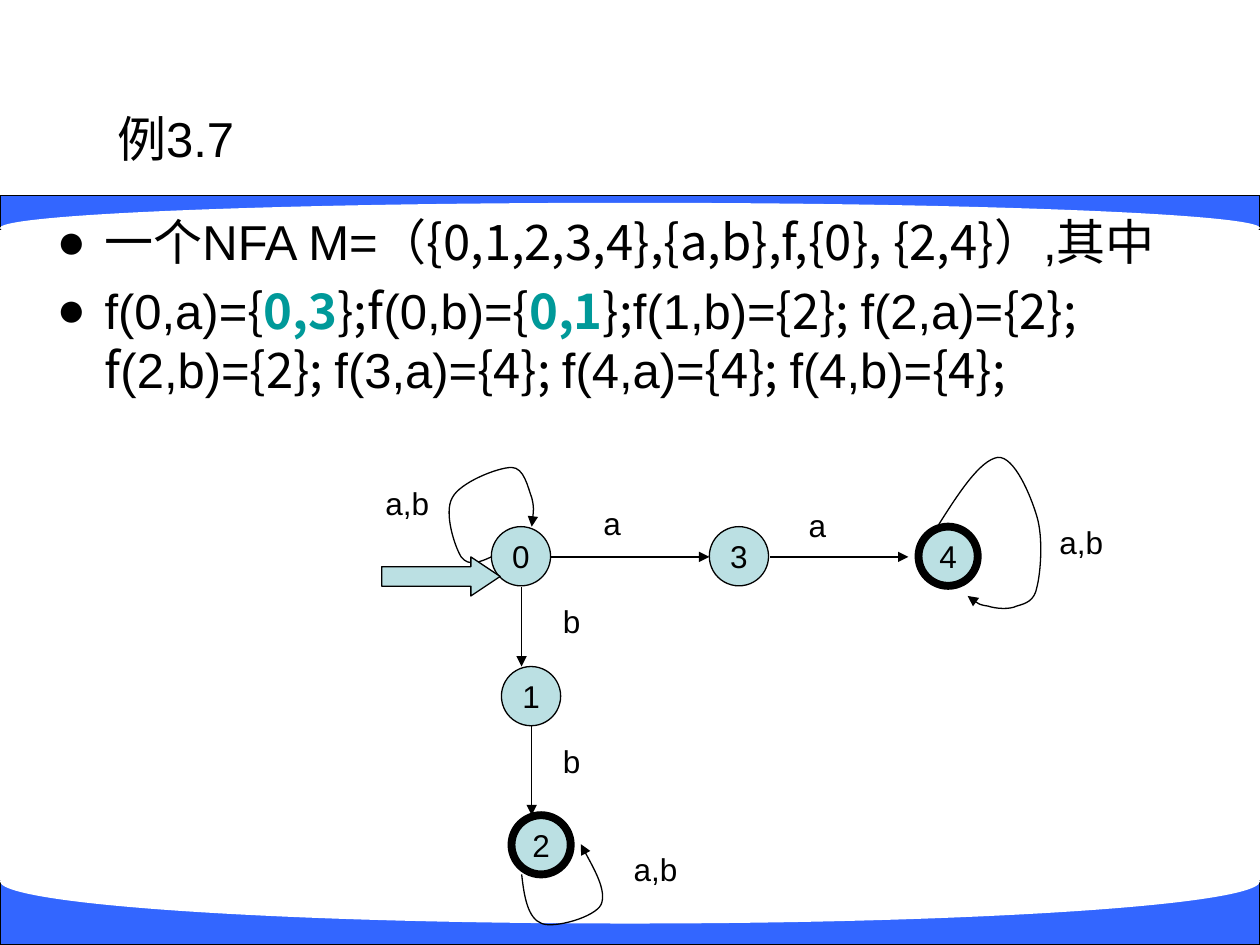
from lxml.etree import SubElement
from pptx import Presentation
from pptx.dml.color import RGBColor
from pptx.enum.shapes import MSO_CONNECTOR as Link, MSO_SHAPE as Kind
from pptx.enum.text import MSO_ANCHOR as Anchor, MSO_AUTO_SIZE as Fit, PP_ALIGN as Align
from pptx.oxml.ns import qn
from pptx.util import Inches, Pt

BLACK = RGBColor(0x00, 0x00, 0x00)
WHITE = RGBColor(0xFF, 0xFF, 0xFF)
BLUE = RGBColor(0x33, 0x66, 0xFF)
PALE = RGBColor(0xBB, 0xE0, 0xE3)
TEAL = RGBColor(0x00, 0x99, 0x99)
LATIN, HAN = "Arial", "Noto Sans CJK SC"

deck = Presentation()
deck.slide_width, deck.slide_height = Inches(10), Inches(7.5)
slide = deck.slides.add_slide(deck.slide_layouts[1])
shapes = slide.shapes


def style(para, size):
    font = para.font
    font.size, font.name, font.bold = Pt(size), LATIN, False
    font.color.rgb = BLACK
    SubElement(para._p.pPr.find(qn("a:defRPr")), qn("a:ea"), typeface=HAN)


def ink(item, width=0.75, arrow=False):
    """Give a shape or connector a black line, with an arrowhead if asked."""
    item.line.color.rgb = BLACK
    item.line.width = Pt(width)
    if arrow:
        SubElement(item.line._get_or_add_ln(), qn("a:tailEnd"), type="triangle")


# Blue bands with white curved edges, behind the text
bands = [
    (Kind.RECTANGLE, 1.55, 0.27, BLUE),
    (Kind.OVAL, 1.61, 0.4, WHITE),
    (Kind.RECTANGLE, 6.99, 0.51, BLUE),
    (Kind.OVAL, 6.66, 0.67, WHITE),
]
for spot, (kind, top, height, fill) in enumerate(bands, 2):
    band = shapes.add_shape(kind, 0, Inches(top), Inches(10), Inches(height))
    band.shadow.inherit = False
    band.fill.solid()
    band.fill.fore_color.rgb = fill
    if fill == BLUE:
        ink(band)
    else:
        band.line.fill.background()
    shapes._spTree.insert(spot, band._element)

# Title
title = shapes.title
title.left, title.top = Inches(0.83), Inches(0.78)
title.width, title.height = Inches(2.86), Inches(0.63)
title.text_frame.text = "例3.7"
title.text_frame.auto_size = Fit.NONE
title.text_frame.vertical_anchor = Anchor.MIDDLE
title.text_frame.paragraphs[0].alignment = Align.LEFT
style(title.text_frame.paragraphs[0], 28)

# Definition: "|" switches between the two fonts, "*" marks bold teal
items = [
    "一个NFA M=（|{0,1,2,3,4},{a,b},f,{0}, {2,4}|）,其中",
    "f(0,a)=|{*0,3*};f|(0,b)=|{*0,1*};|f(1,b)=|{2}; |f(2,a)=|{2}; f|(2,b)=|{2}; "
    "|f(3,a)=|{4}; |f(4,a)=|{4}; |f(4,b)=|{4};",
]
body = slide.placeholders[1]
body.left, body.top = Inches(0.35), Inches(1.63)
body.width, body.height = Inches(9.34), Inches(2.12)
frame = body.text_frame
frame.auto_size = Fit.NONE
for row, item in enumerate(items):
    para = frame.add_paragraph() if row else frame.paragraphs[0]
    para.space_before = Pt(5.6 * row)
    props = para._p.get_or_add_pPr()
    props.set("marL", str(Inches(0.38)))
    props.set("indent", str(-Inches(0.38)))
    SubElement(props, qn("a:buFont"), typeface=LATIN)
    SubElement(props, qn("a:buChar"), char="●")
    style(para, 28)
    for i, part in enumerate(item.split("|")):
        for j, bit in enumerate(part.split("*")):
            run = para.add_run()
            run.text = bit
            if i % 2:
                run.font.name = HAN
            if j % 2:
                run.font.bold = True
                run.font.color.rgb = TEAL

# States; final ones have a thick ring
SIZE = 0.47
states = [("0", 3.9, 4.18), ("1", 3.98, 5.29), ("2", 4.06, 6.47),
          ("3", 5.63, 4.18), ("4", 7.29, 4.18)]
for name, left, top in states:
    state = shapes.add_shape(Kind.OVAL, Inches(left), Inches(top), Inches(SIZE), Inches(SIZE))
    state.shadow.inherit = False
    state.fill.solid()
    state.fill.fore_color.rgb = PALE
    ink(state, 4.5 if name in "24" else 0.75)
    frame = state.text_frame
    frame.word_wrap = False
    frame.vertical_anchor = Anchor.MIDDLE
    frame.text = name
    frame.paragraphs[0].alignment = Align.CENTER
    style(frame.paragraphs[0], 18)

# Straight moves
moves = [(4.37, 4.42, 5.63, 4.42), (6.11, 4.42, 7.21, 4.42),
         (4.14, 4.66, 4.14, 5.29), (4.22, 5.76, 4.22, 6.47)]
for ends in moves:
    move = shapes.add_connector(Link.STRAIGHT, *map(Inches, ends))
    ink(move, arrow=True)
    SubElement(move._element.spPr, qn("a:effectLst"))

# Loops: a start point, then two handles and an end for each Bezier piece
loops = [
    [(4.14, 6.94), (4.16, 7.12), (4.19, 7.29), (4.3, 7.33), (4.4, 7.37), (4.72, 7.28),
     (4.77, 7.18), (4.82, 7.07), (4.65, 6.78), (4.61, 6.7)],
    [(3.9, 4.42), (3.81, 4.46), (3.72, 4.5), (3.66, 4.42), (3.61, 4.34), (3.52, 4.07),
     (3.59, 3.95), (3.65, 3.83), (3.95, 3.71), (4.06, 3.71), (4.16, 3.71), (4.19, 3.87),
     (4.22, 3.95), (4.24, 4.03), (4.23, 4.1), (4.22, 4.18)],
    [(7.44, 4.18), (7.61, 3.91), (7.78, 3.65), (7.92, 3.63), (8.05, 3.62), (8.18, 3.93),
     (8.23, 4.1), (8.28, 4.27), (8.26, 4.54), (8.23, 4.66), (8.21, 4.77), (8.14, 4.79),
     (8.07, 4.81), (8.01, 4.84), (7.9, 4.83), (7.84, 4.81), (7.77, 4.8), (7.71, 4.76),
     (7.68, 4.73)],
]
for knots in loops:
    dots = [(Inches(x), Inches(y)) for x, y in knots]
    pen = shapes.build_freeform(*dots[0])
    pen.add_line_segments(dots[1:], close=False)
    loop = pen.convert_to_shape()
    loop.shadow.inherit = False
    loop.fill.background()
    ink(loop, arrow=True)
    # Join each three straight segments into one curve
    lines = list(loop._element.iter(qn("a:lnTo")))
    track = lines[0].getparent()
    for k in range(0, len(lines), 3):
        curve = SubElement(track, qn("a:cubicBezTo"))
        for line in lines[k:k + 3]:
            curve.append(line[0])
            track.remove(line)

# Start arrow
start = shapes.add_shape(Kind.RIGHT_ARROW, Inches(3.03), Inches(4.42), Inches(0.94), Inches(0.31))
start.adjustments[1] = 0.75
start.shadow.inherit = False
start.fill.solid()
start.fill.fore_color.rgb = PALE
ink(start)

# Input labels
labels = [("a", 6.32, 3.97), ("a", 4.69, 3.95), ("a,b", 8.31, 4.1), ("a,b", 4.93, 6.7),
          ("a,b", 2.96, 3.79), ("b", 4.37, 4.73), ("b", 4.37, 5.84)]
for text, left, top in labels:
    width = 0.55 if "," in text else 0.34
    label = shapes.add_textbox(Inches(left), Inches(top), Inches(width), Inches(0.4))
    frame = label.text_frame
    frame.word_wrap = False
    frame.auto_size = Fit.SHAPE_TO_FIT_TEXT
    frame.text = text
    style(frame.paragraphs[0], 18)

deck.save("out.pptx")
